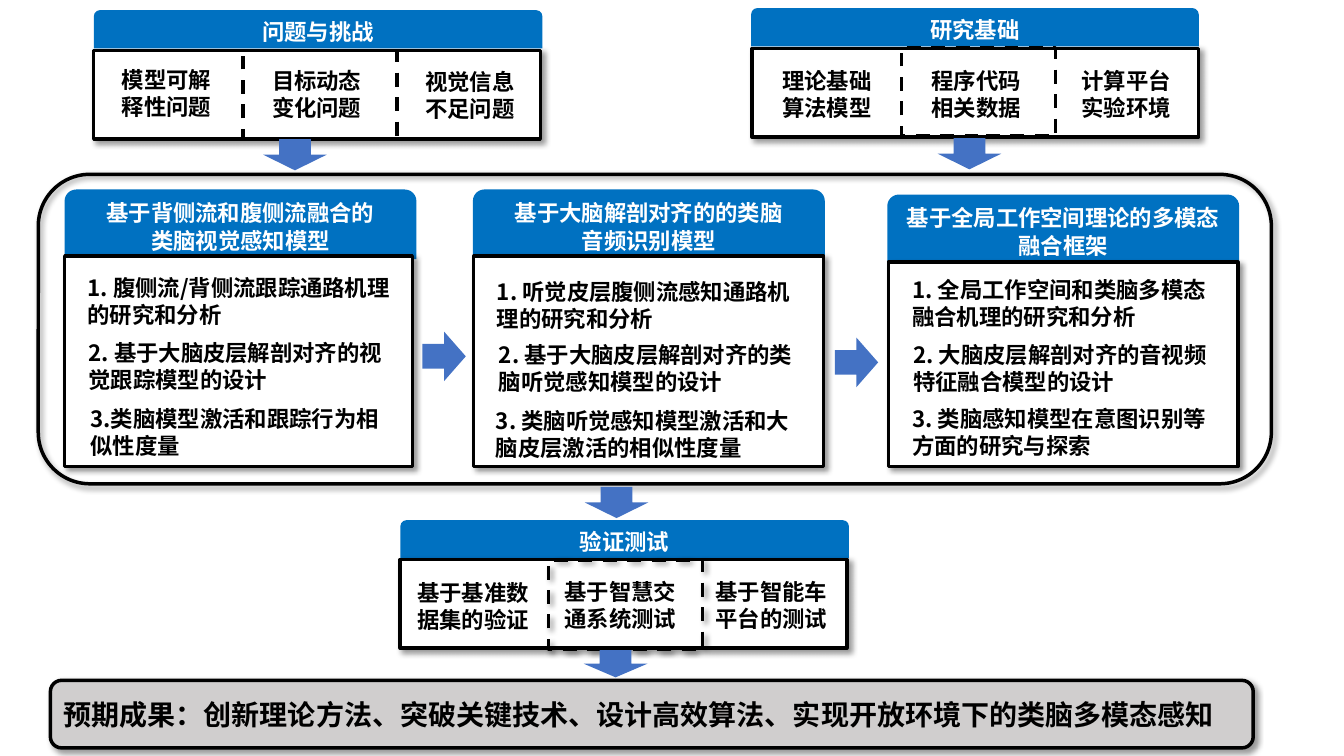
"""Build the research roadmap slide for brain-inspired multimodal perception."""
from lxml import etree
from pptx import Presentation
from pptx import util as u
from pptx.dml.color import RGBColor
from pptx.enum import dml, shapes, text
from pptx.oxml import parse_xml
from pptx.oxml.ns import nsdecls, qn

FONT = "Noto Sans CJK SC"
BLACK, WHITE, BLUE, ARROW, GREY = "000000", "FFFFFF", "0071C1", "4472C4", "D0CECE"
KIND = shapes.MSO_SHAPE
SHADOW = (
    f'<a:effectLst {nsdecls("a")}><a:outerShdw blurRad="50800" dist="38100" dir="2700000" '
    'algn="tl" rotWithShape="0"><a:srgbClr val="000000"><a:alpha val="40000"/></a:srgbClr>'
    '</a:outerShdw></a:effectLst>'
)

deck = Presentation()
deck.slide_width, deck.slide_height = u.Inches(13.33), u.Inches(7.5)
page = deck.slides.add_slide(deck.slide_layouts[6])


def add_box(kind, at, fill=None, line=0, shadow=False):
    """Add a preset shape, or a text box when kind is None."""
    place = [u.Inches(value) for value in at]
    if kind is None:
        return page.shapes.add_textbox(*place)
    box = page.shapes.add_shape(kind, *place)
    box.shadow.inherit = False
    if fill:
        box.fill.solid()
        box.fill.fore_color.rgb = RGBColor.from_string(fill)
    else:
        box.fill.background()
    if line:
        box.line.width = u.Pt(line)
        box.line.color.rgb = RGBColor.from_string(BLACK)
    else:
        box.line.fill.background()
    if shadow:
        properties = box._element.spPr
        properties.replace(properties.find(qn("a:effectLst")), parse_xml(SHADOW))
    return box


def write(box, words, size=16, color=BLACK, align=text.PP_ALIGN.LEFT, spacing=None,
          anchor=text.MSO_ANCHOR.TOP, fit=text.MSO_AUTO_SIZE.SHAPE_TO_FIT_TEXT):
    """Fill a box with bold text, one paragraph per line of words."""
    frame = box.text_frame
    frame.word_wrap = True
    frame.auto_size = fit
    frame.vertical_anchor = anchor
    for index, line in enumerate(words.split("\n")):
        para = frame.add_paragraph() if index else frame.paragraphs[0]
        para.alignment = align
        if spacing:
            para.line_spacing = u.Pt(spacing)
        span = para.add_run()
        span.text = line
        span.font.size, span.font.bold, span.font.name = u.Pt(size), True, FONT
        span.font.color.rgb = RGBColor.from_string(color)
        etree.SubElement(span.font._element, qn("a:ea")).set("typeface", FONT)


headers = [
    ((0.93, 0.1, 4.45, 0.38), "问题与挑战"),
    ((7.45, 0.08, 4.44, 0.38), "研究基础"),
    ((3.97, 5.16, 4.45, 0.38), "验证测试"),
    ((0.64, 1.88, 3.49, 0.69), "基于背侧流和腹侧流融合的\n类脑视觉感知模型"),
    ((4.69, 1.88, 3.49, 0.68), "基于大脑解剖对齐的的类脑\n音频识别模型"),
    ((8.8, 1.93, 3.49, 0.69), "基于全局工作空间理论的多模态融合框架"),
]
for at, title in headers:
    write(add_box(KIND.ROUND_2_SAME_RECTANGLE, at, BLUE), title, color=WHITE,
          align=text.PP_ALIGN.CENTER, spacing=20)

models = [
    ((0.64, 2.54, 3.45, 2.09), [
        (0.77, 2.67, "1. 腹侧流/背侧流跟踪通路机理的研究和分析"),
        (0.78, 3.32, "2. 基于大脑皮层解剖对齐的视觉跟踪模型的设计"),
        (0.8, 3.97, "3.类脑模型激活和跟踪行为相似性度量")]),
    ((4.7, 2.54, 3.47, 2.09), [
        (4.83, 2.71, "1. 听觉皮层腹侧流感知通路机理的研究和分析"),
        (4.85, 3.34, "2. 基于大脑皮层解剖对齐的类脑听觉感知模型的设计"),
        (4.82, 3.99, "3. 类脑听觉感知模型激活和大脑皮层激活的相似性度量")]),
    ((8.81, 2.6, 3.47, 2.03), [
        (8.95, 2.69, "1. 全局工作空间和类脑多模态融合机理的研究和分析"),
        (8.96, 3.34, "2. 大脑皮层解剖对齐的音视频特征融合模型的设计"),
        (8.95, 3.97, "3. 类脑感知模型在意图识别等方面的研究与探索")]),
]
for at, points in models:
    add_box(KIND.RECTANGLE, at, WHITE, 2.25, True)
    for left, top, words in points:
        write(add_box(None, (left, top, 3.2, 0.64)), words)

add_box(KIND.ROUNDED_RECTANGLE, (0.38, 1.73, 12.23, 3.07), line=2.5, shadow=True)

panels = [
    (0.93, 0.5, (2.41, 0.5), False, [
        (1.11, 0.61, 1.12, "模型可解\n释性问题"),
        (2.6, 0.62, 1.13, "目标动态\n变化问题"),
        (4.12, 0.63, 1.11, "视觉信息\n不足问题")]),
    (7.46, 0.48, (8.94, 0.47), False, [
        (7.66, 0.62, 1.11, "理论基础\n算法模型"),
        (9.14, 0.62, 1.12, "程序代码\n相关数据"),
        (10.63, 0.62, 1.1, "计算平台\n实验环境")]),
    (3.97, 5.55, (5.44, 5.56), True, [
        (4.04, 5.7, 1.37, "基于基准数据集的验证"),
        (5.5, 5.69, 1.37, "基于智慧交通系统测试"),
        (7, 5.69, 1.37, "基于智能车平台的测试")]),
]
for left, top, middle, shadow, cells in panels:
    add_box(KIND.RECTANGLE, (left, top, 4.43, 0.88), WHITE, 2.5, True)
    for cell_left, cell_top, width, words in cells:
        write(add_box(None, (cell_left, cell_top, width, 0.64)), words)
    divider = add_box(KIND.RECTANGLE, (*middle, 1.53, 0.88), line=2.5, shadow=shadow)
    divider.line.dash_style = dml.MSO_LINE.DASH

arrows = [
    (2.77, 1.22, 0.31, 0.63, 90),
    (9.46, 1.21, 0.31, 0.63, 90),
    (5.96, 4.67, 0.31, 0.63, 90),
    (5.97, 6.27, 0.27, 0.63, 90),
    (4.19, 3.29, 0.43, 0.49, 0),
    (8.28, 3.35, 0.43, 0.49, 0),
]
for *at, turn in arrows:
    add_box(KIND.RIGHT_ARROW, at, ARROW).rotation = turn

outcome = add_box(KIND.ROUNDED_RECTANGLE, (0.5, 6.75, 11.93, 0.67), GREY, 2.5, True)
write(outcome, "预期成果：创新理论方法、突破关键技术、设计高效算法、实现开放环境下的类脑多模态感知",
      size=20, anchor=text.MSO_ANCHOR.MIDDLE, fit=text.MSO_AUTO_SIZE.NONE)
indents = outcome.text_frame.paragraphs[0]._p.get_or_add_pPr()
indents.set("marL", str(u.Inches(1.01)))
indents.set("indent", str(u.Inches(-1.01)))

deck.save("out.pptx")
